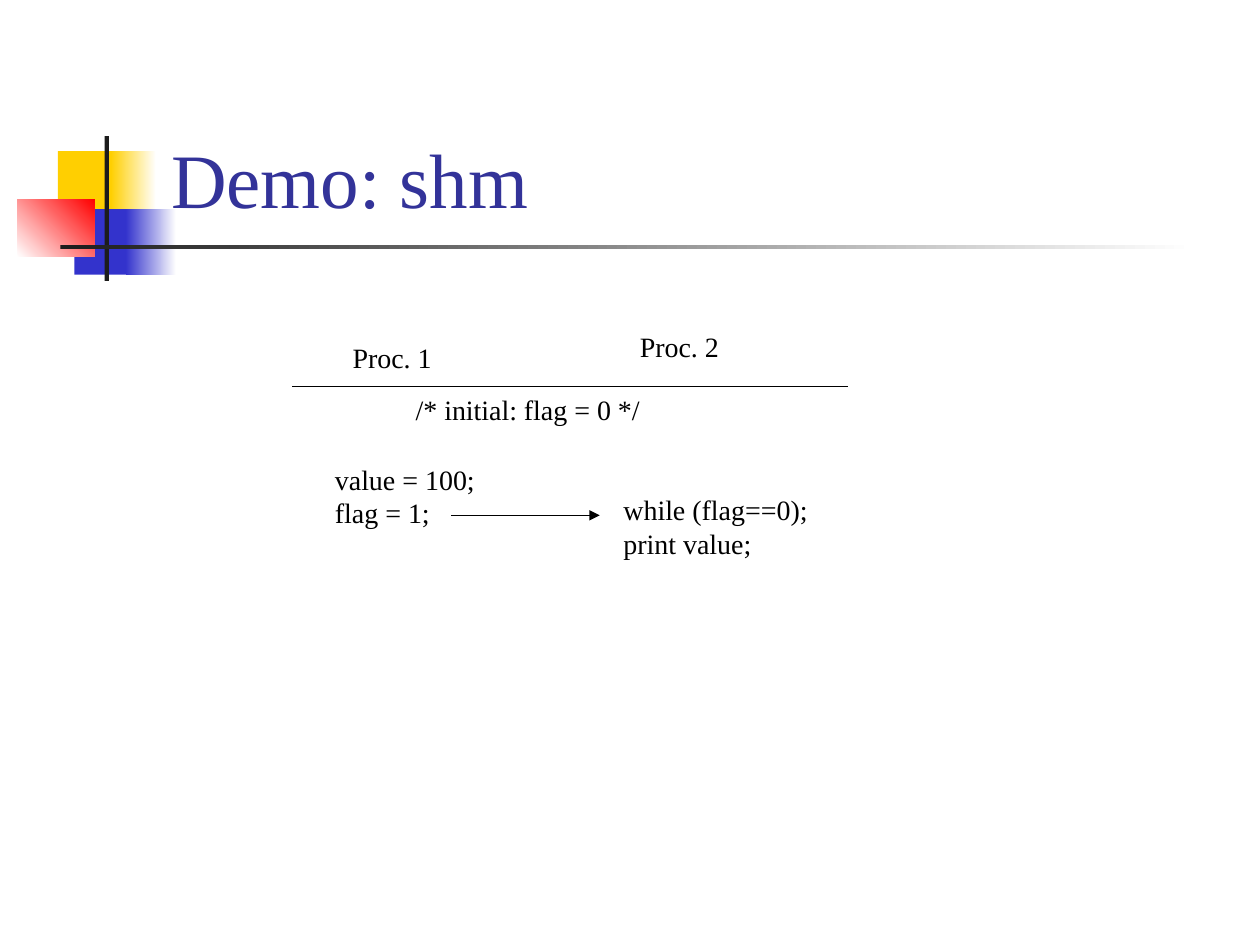
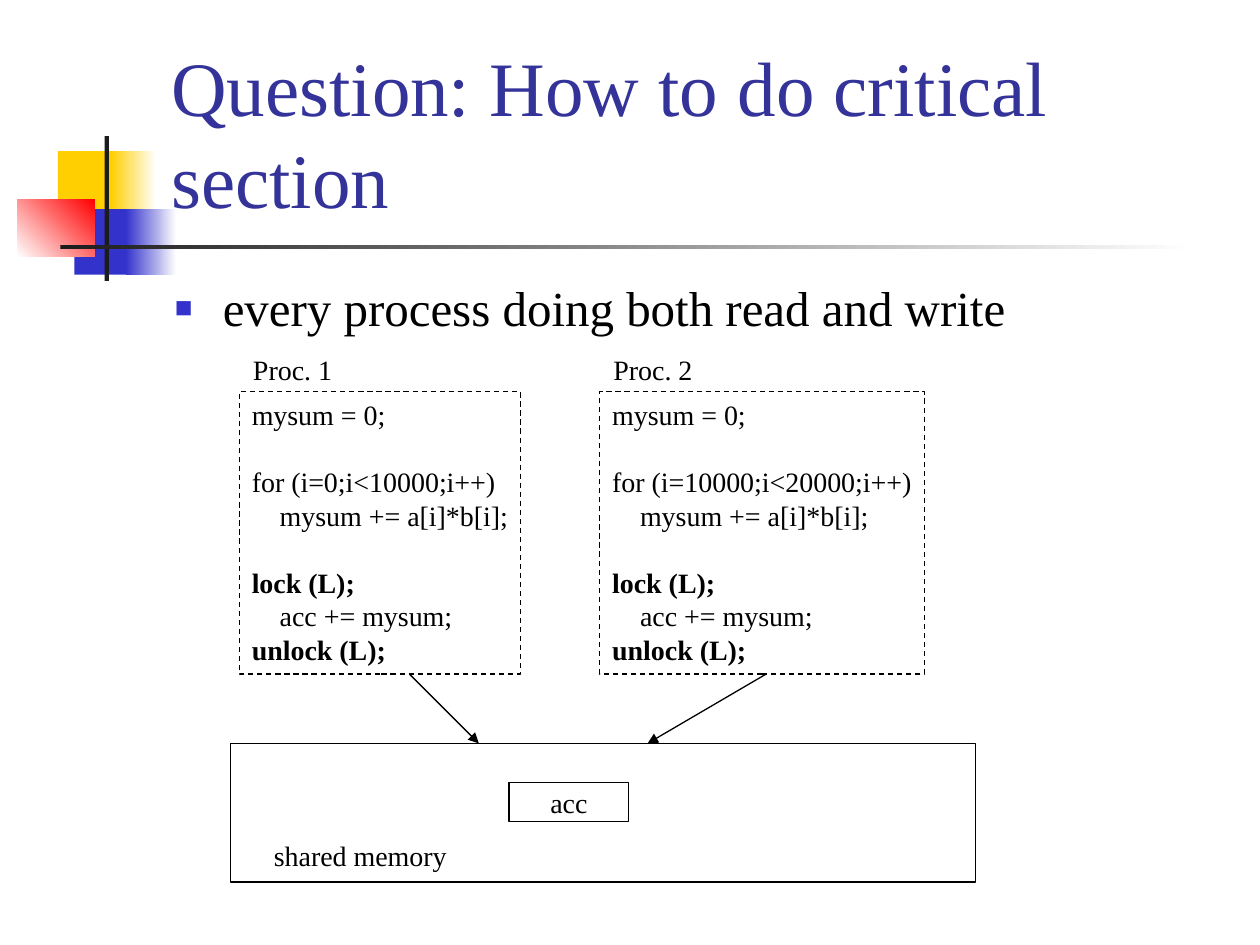
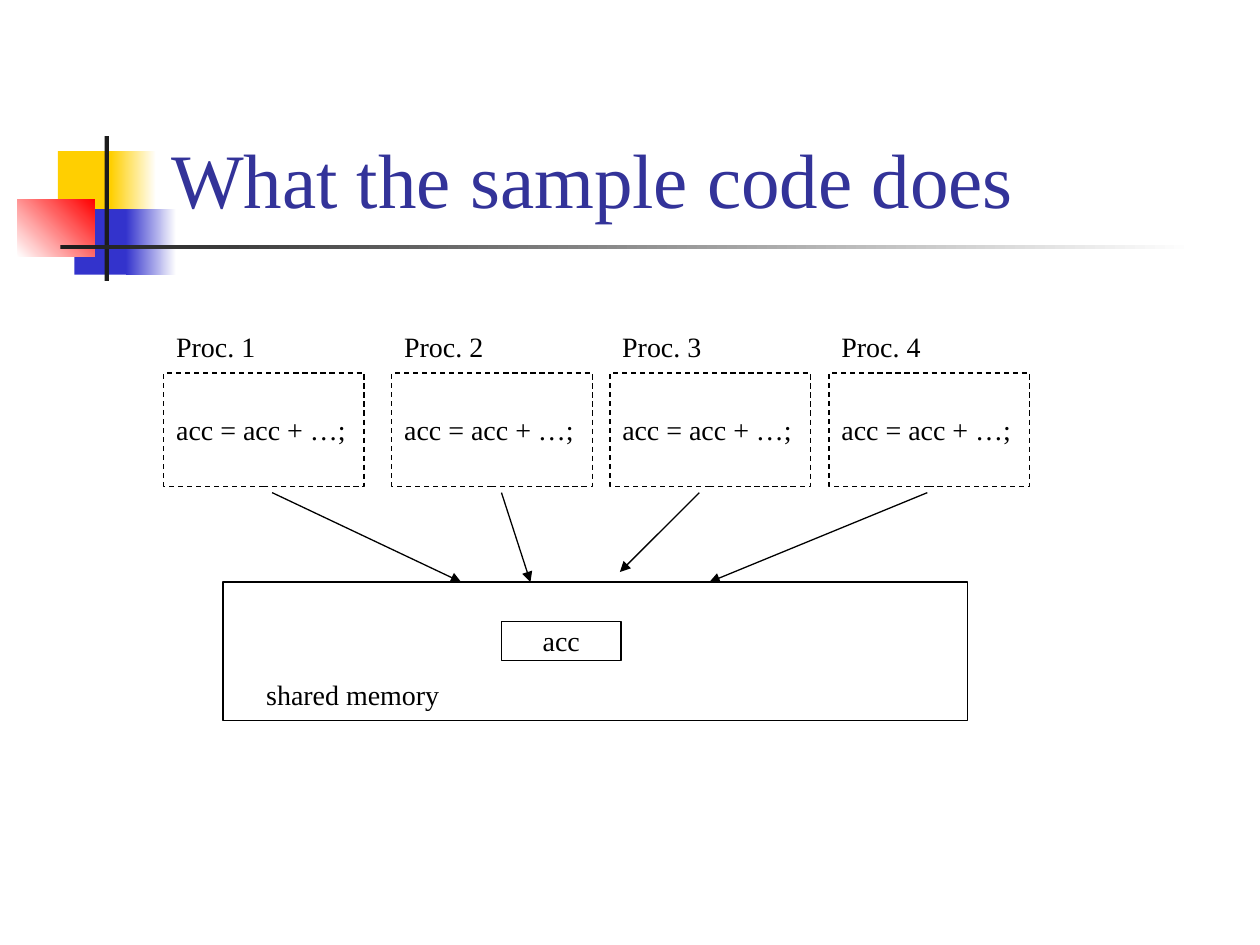
from lxml.etree import SubElement
from pptx import Presentation
from pptx.dml.color import RGBColor
from pptx.enum.dml import MSO_LINE
from pptx.enum.shapes import MSO_CONNECTOR, MSO_SHAPE
from pptx.enum.text import MSO_ANCHOR, PP_ALIGN
from pptx.oxml.ns import qn
from pptx.util import Inches, Pt

COLUMNS, ROWS = 100, 75
WIDTH, HEIGHT = Inches(10), Inches(7.5)
FONT = "Times New Roman"
BLACK, WHITE, INK = "000000", "FFFFFF", "1C1C1C"
YELLOW, BLUE, RED, TITLE = "FFCF01", "3333CC", "FF0000", "333399"
TEXT_SIZE, CODE_GAP = 16, 19
LABEL_SIZE = (8.3, 3.7)


def color(value):
    return RGBColor.from_string(value)


def grid(left, top, width, height):
    """Turn columns and rows into slide lengths."""
    across, down = WIDTH / COLUMNS, HEIGHT / ROWS
    return [round(n * unit) for n, unit in
            zip((left, top, width, height), (across, down, across, down))]


class Slides:
    def __init__(self):
        self.deck = Presentation()
        self.deck.slide_width, self.deck.slide_height = WIDTH, HEIGHT
        self.page = None

    def start(self, title):
        """Add a page with the shared ornament and a title."""
        self.page = self.deck.slides.add_slide(self.deck.slide_layouts[6])
        self.band((4.6, 12, 4.8, 5.2), YELLOW)
        self.band((8.8, 12, 3.6, 5.2), YELLOW, WHITE)
        self.band((5.9, 16.6, 4.6, 5.2), BLUE)
        self.band((10, 16.6, 4, 5.2), BLUE, WHITE)
        self.band((1.4, 15.8, 6.1, 4.6), WHITE, RED, angle=45)
        self.band((8.3, 10.8, 0.35, 11.5), INK)
        self.band((4.8, 19.45, 90, 0.35), INK, WHITE)
        self.text((12.6, 2.3, 85.2, 16), [title], size=44, ink=TITLE,
                  wrap=True, anchor=MSO_ANCHOR.BOTTOM)

    def rectangle(self, place):
        box = self.page.shapes.add_shape(MSO_SHAPE.RECTANGLE, *grid(*place))
        box.shadow.inherit = False
        return box

    def band(self, place, first, last=None, angle=0):
        """Draw a borderless bar, fading from first to last if last is given."""
        box = self.rectangle(place)
        box.line.fill.background()
        if last is None:
            box.fill.solid()
            box.fill.fore_color.rgb = color(first)
            return
        box.fill.gradient()
        box.fill.gradient_angle = angle
        for stop, shade in zip(box.fill.gradient_stops, (first, last)):
            stop.color.rgb = color(shade)

    def frame(self, place, lines=(), dashed=False, **style):
        """Draw an unfilled outlined box, with text if lines are given."""
        box = self.rectangle(place)
        box.fill.background()
        box.line.color.rgb = color(BLACK)
        box.line.width = Pt(0.75)
        if dashed:
            box.line.dash_style = MSO_LINE.DASH
        if lines:
            self.set_lines(box, lines, **style)

    def text(self, place, lines, **style):
        box = self.page.shapes.add_textbox(*grid(*place))
        self.set_lines(box, lines, **style)
        return box

    def set_lines(self, box, lines, size=TEXT_SIZE, ink=BLACK, wrap=False,
                  anchor=MSO_ANCHOR.TOP, align=PP_ALIGN.LEFT, bold=(), spaced=()):
        """Fill a box; bold and spaced hold the numbers of such lines."""
        frame = box.text_frame
        frame.word_wrap = wrap
        frame.vertical_anchor = anchor
        for number, line in enumerate(lines):
            para = frame.add_paragraph() if number else frame.paragraphs[0]
            para.alignment = align
            if number in spaced:
                para.space_before = Pt(CODE_GAP)
            span = para.add_run()
            span.text = line
            span.font.name, span.font.size = FONT, Pt(size)
            span.font.bold = number in bold
            span.font.color.rgb = color(ink)

    def bullet(self, place, line):
        box = self.text(place, [line], size=28, wrap=True)
        para = box.text_frame.paragraphs[0]
        para.line_spacing = 0.9
        props = para._p.get_or_add_pPr()
        props.set("marL", str(Inches(0.38)))
        props.set("indent", str(-Inches(0.38)))
        SubElement(SubElement(props, qn("a:buClr")), qn("a:srgbClr"), val=BLUE)
        SubElement(props, qn("a:buSzPct"), val="60000")
        SubElement(props, qn("a:buFont"), typeface=FONT)
        SubElement(props, qn("a:buChar"), char="■")

    def line(self, start, end, arrow=True):
        link = self.page.shapes.add_connector(
            MSO_CONNECTOR.STRAIGHT, *grid(*start, *end))
        link.line.color.rgb = color(BLACK)
        link.line.width = Pt(0.75)
        props = link._element.spPr
        if arrow:
            SubElement(props.find(qn("a:ln")), qn("a:tailEnd"), type="triangle")
        SubElement(props, qn("a:effectLst"))

    def process_label(self, left, top, number):
        self.text((left, top, *LABEL_SIZE), [f"Proc. {number}"])

    def shared_memory(self, left, top):
        self.frame((left, top, 59.1, 11))
        self.text((left + 2.45, top + 7.1, 15.7, 3.7), ["shared memory"])
        self.frame((left + 22.1, top + 3.1, 9.5, 3.1), ["acc"],
                   anchor=MSO_ANCHOR.MIDDLE, align=PP_ALIGN.CENTER)


def flag_demo(slides):
    slides.start("Demo: shm")
    slides.text((25.6, 36.2, 13.2, 6.4), ["value = 100;", "flag = 1;"], wrap=True)
    slides.text((48.5, 38.6, 16.6, 6.4), ["while (flag==0);", "print value;"])
    slides.line((23.2, 30.7), (67.3, 30.7), arrow=False)
    slides.process_label(27, 26.5, 1)
    slides.process_label(49.8, 25.7, 2)
    slides.text((32, 30.7, 19.8, 3.7), ["/* initial: flag = 0 */"])
    slides.line((35.8, 40.9), (47.6, 40.9))


def critical_section(slides):
    slides.start("Question: How to do critical section")
    slides.bullet((12.9, 22.1, 85, 5.4), "every process doing both read and write")
    processes = [(19, 22.3, "i=0;i<10000"), (47.6, 25.8, "i=10000;i<20000")]
    for number, (left, width, bounds) in enumerate(processes, 1):
        code = ["mysum = 0;", f"for ({bounds};i++)", "    mysum += a[i]*b[i];",
                "lock (L);", "    acc += mysum;", "unlock (L);"]
        slides.frame((left, 31.1, width, 22.4), code, dashed=True,
                     bold=(3, 5), spaced=(1, 3))
        slides.process_label(left + 0.1, 27.5, number)
    slides.shared_memory(18.3, 59)
    for start, end in [(32.5, 38), (60.8, 51.4)]:
        slides.line((start, 53.5), (end, 59))


def sample_code(slides):
    slides.start("What the sample code does")
    for number, left in enumerate((13, 31.1, 48.4, 65.8), 1):
        slides.frame((left, 29.6, 15.9, 9), ["acc = acc + …;"], dashed=True,
                     wrap=True, anchor=MSO_ANCHOR.MIDDLE)
        slides.process_label(left, 25.7, number)
    slides.shared_memory(17.7, 46.2)
    for start, end, bottom in [(21.6, 36.6, 46.2), (39.8, 42.1, 46.2),
                               (55.5, 49.2, 45.4), (73.6, 56.3, 46.2)]:
        slides.line((start, 39.1), (end, bottom))


def main():
    slides = Slides()
    for build in (flag_demo, critical_section, sample_code):
        build(slides)
    slides.deck.save("out.pptx")


if __name__ == "__main__":
    main()
